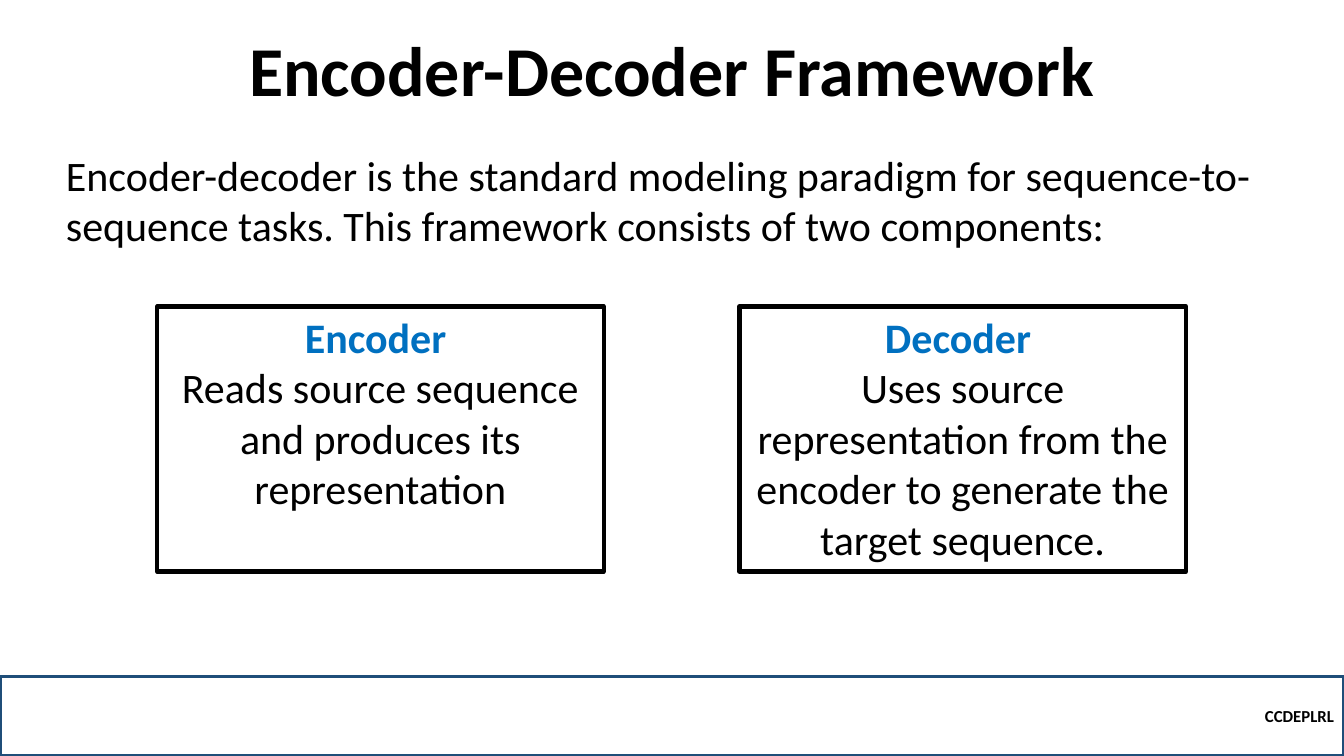
from pptx import Presentation
from pptx.dml.color import RGBColor
from pptx.enum import shapes, text
from pptx.util import Pt

BLACK = RGBColor(0x00, 0x00, 0x00)
BLUE = RGBColor(0x00, 0x70, 0xC0)
NAVY = RGBColor(0x1F, 0x4E, 0x79)
LEFT, MID, RIGHT = text.PP_ALIGN.LEFT, text.PP_ALIGN.CENTER, text.PP_ALIGN.RIGHT
TOP, CENTER, BASE = (text.MSO_ANCHOR.TOP, text.MSO_ANCHOR.MIDDLE,
                     text.MSO_ANCHOR.BOTTOM)


class Page:
    face = "Calibri"

    def __init__(self, deck):
        self.slide = deck.slides.add_slide(deck.slide_layouts[6])

    def fill(self, shape, lines, align=LEFT, anchor=TOP, lead=None):
        """Fill a shape with paragraphs, each a pair of words and font values."""
        frame = shape.text_frame
        frame.word_wrap = True
        frame.vertical_anchor = anchor
        for i, (words, form) in enumerate(lines):
            para = frame.paragraphs[0] if i == 0 else frame.add_paragraph()
            para.alignment = align
            para.line_spacing = lead
            run = para.add_run()
            run.text = words
            run.font.color.rgb = form.get("color", BLACK)
            values = {"name": self.face, "size": Pt(form.get("size", 30)),
                      "bold": form.get("bold", False)}
            for key, value in values.items():
                setattr(run.font, key, value)

    def label(self, area, lines, **layout):
        box = self.slide.shapes.add_textbox(*map(Pt, area))
        self.fill(box, lines, **layout)

    def frame(self, area, color, width, lines, **layout):
        """Draw an outlined, unfilled rectangle with text."""
        box = self.slide.shapes.add_shape(shapes.MSO_SHAPE.RECTANGLE, *map(Pt, area))
        box.shadow.inherit = False
        box.fill.background()
        box.line.color.rgb = color
        box.line.width = Pt(width)
        self.fill(box, lines, **layout)


def main():
    deck = Presentation()
    deck.slide_width, deck.slide_height = Pt(960), Pt(540)
    page = Page(deck)

    page.frame((0, 483, 960, 57), NAVY, 2.25,
               [("CCDEPLRL", {"size": 12, "bold": True})],
               align=RIGHT, anchor=CENTER)
    page.label((86.5, 26.5, 787, 57),
               [("Encoder-Decoder Framework", {"size": 50, "bold": True})],
               align=MID, anchor=BASE, lead=0.9)
    page.label((40, 103, 879, 80),
               [("Encoder-decoder is the standard modeling paradigm for "
                 "sequence-to-sequence tasks. This framework consists of "
                 "two components:", {})])

    parts = [
        ("Encoder ", "Reads source sequence and produces its representation"),
        ("Decoder ", "Uses source representation from the encoder to "
                     "generate the target sequence."),
    ]
    for i, (name, role) in enumerate(parts):
        page.frame((112.25 + 416 * i, 219, 319, 189.25), BLACK, 3,
                   [(name, {"color": BLUE, "bold": True}), (role, {})], align=MID)

    deck.save("out.pptx")


if __name__ == "__main__":
    main()
